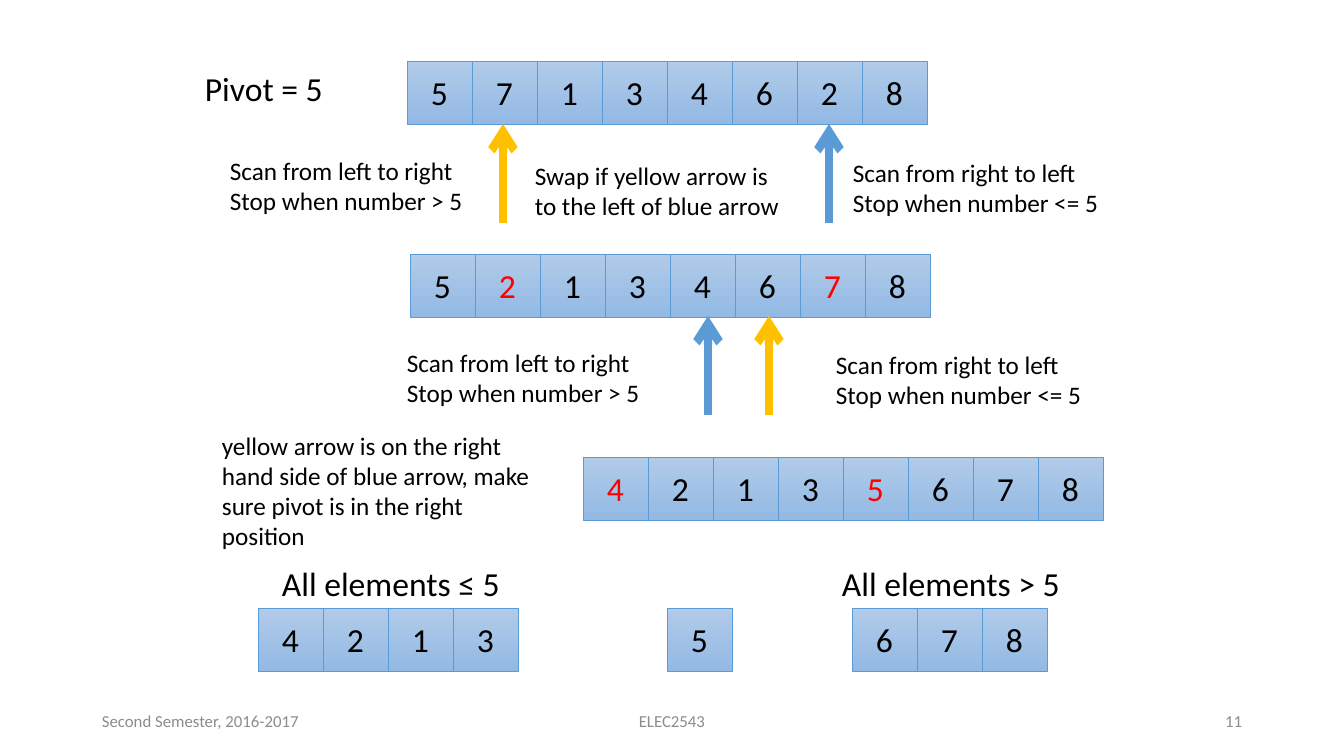
from typing import NamedTuple

from lxml.etree import SubElement
from pptx import Presentation
from pptx.dml.color import RGBColor
from pptx.enum.shapes import MSO_CONNECTOR, MSO_SHAPE
from pptx.enum.text import MSO_ANCHOR, PP_ALIGN
from pptx.oxml.ns import qn
from pptx.shapes.base import BaseShape
from pptx.slide import Slide
from pptx.util import Emu, Pt

SLIDE_WIDTH, SLIDE_HEIGHT = 1344, 756
EMU_PER_PIXEL = 12192000 / SLIDE_WIDTH
CELL_WIDTH, CELL_HEIGHT = 65, 63
ARROW_LENGTH = 99

BLACK = RGBColor(0x00, 0x00, 0x00)
RED = RGBColor(0xFF, 0x00, 0x00)
GRAY = RGBColor(0x8C, 0x8C, 0x8C)
BLUE = RGBColor(0x5B, 0x9B, 0xD5)
YELLOW = RGBColor(0xFF, 0xC0, 0x00)
CELL_TOP_COLOR = RGBColor(0xB1, 0xCB, 0xE9)
CELL_BOTTOM_COLOR = RGBColor(0x93, 0xB9, 0xE4)

SCAN_RIGHT = "Scan from left to right\nStop when number > 5"
SCAN_LEFT = "Scan from right to left\nStop when number <= 5"


class NumberRow(NamedTuple):
    """A row of array cells; positions in moved are shown in red."""
    left: int
    top: int
    numbers: str
    moved: tuple[int, ...] = ()


class ScanArrow(NamedTuple):
    """An upward arrow that points at an array cell."""
    center: int
    tip: int
    color: RGBColor


class Label(NamedTuple):
    """A text box and its format."""
    left: int
    top: int
    width: int
    height: int
    text: str
    size: int = 18
    wrap: bool = False
    color: RGBColor = BLACK
    align: PP_ALIGN = PP_ALIGN.LEFT
    anchor: MSO_ANCHOR = MSO_ANCHOR.TOP


class Footer(NamedTuple):
    """One part of the slide footer."""
    left: int
    width: int
    text: str
    align: PP_ALIGN


NUMBER_ROWS = [
    NumberRow(407, 61, "57134628"),
    NumberRow(410, 254, "52134678", (1, 6)),
    NumberRow(583, 457, "42135678", (0, 4)),
    NumberRow(258, 608, "4213"),
    NumberRow(667, 608, "5"),
    NumberRow(852, 608, "678"),
]

SCAN_ARROWS = [
    ScanArrow(829, 124, BLUE),
    ScanArrow(503, 124, YELLOW),
    ScanArrow(769, 316, YELLOW),
    ScanArrow(708, 316, BLUE),
]

LABELS = [
    Label(195, 63, 140, 50, "Pivot = 5", size=24),
    Label(220, 150, 255, 71, SCAN_RIGHT),
    Label(843, 152, 268, 71, SCAN_LEFT),
    Label(525, 155, 280, 71, "Swap if yellow arrow is to the left of blue arrow", wrap=True),
    Label(397, 342, 255, 71, SCAN_RIGHT),
    Label(826, 344, 268, 71, SCAN_LEFT),
    Label(212, 425, 330, 132, "yellow arrow is on the right hand side of blue arrow, "
          "make sure pivot is in the right position", wrap=True),
    Label(272, 558, 241, 50, "All elements ≤ 5", size=24),
    Label(832, 558, 241, 50, "All elements > 5", size=24),
]

FOOTERS = [
    Footer(92, 302, "Second Semester, 2016-2017", PP_ALIGN.LEFT),
    Footer(445, 454, "ELEC2543", PP_ALIGN.CENTER),
    Footer(950, 302, "11", PP_ALIGN.RIGHT),
]


def pixels(*lengths: int) -> list[Emu]:
    """Turn pixel lengths into EMU."""
    return [Emu(round(length * EMU_PER_PIXEL)) for length in lengths]


def write_text(shape: BaseShape, text: str, *, size: int = 24, color: RGBColor = BLACK,
               align: PP_ALIGN = PP_ALIGN.CENTER, anchor: MSO_ANCHOR = MSO_ANCHOR.MIDDLE,
               wrap: bool = True) -> None:
    """Fill a shape with formatted text, one paragraph per line."""
    frame = shape.text_frame
    frame.text = text
    frame.word_wrap = wrap
    frame.vertical_anchor = anchor
    for paragraph in frame.paragraphs:
        paragraph.alignment = align
        for run in paragraph.runs:
            run.font.name = "Calibri"
            run.font.size = Pt(size)
            run.font.color.rgb = color


def draw_row(slide: Slide, row: NumberRow) -> None:
    """Draw the cells of an array side by side."""
    for index, number in enumerate(row.numbers):
        left = row.left + index * CELL_WIDTH
        cell = slide.shapes.add_shape(
            MSO_SHAPE.RECTANGLE, *pixels(left, row.top, CELL_WIDTH, CELL_HEIGHT))
        cell.shadow.inherit = False
        cell.fill.gradient()
        cell.fill.gradient_angle = 270
        for stop, color in zip(cell.fill.gradient_stops, (CELL_TOP_COLOR, CELL_BOTTOM_COLOR)):
            stop.color.rgb = color
        cell.line.color.rgb = BLUE
        cell.line.width = Pt(0.5)
        write_text(cell, number, color=RED if index in row.moved else BLACK)


def draw_arrow(slide: Slide, arrow: ScanArrow) -> None:
    """Draw a thick arrow from below up to its tip."""
    connector = slide.shapes.add_connector(
        MSO_CONNECTOR.STRAIGHT,
        *pixels(arrow.center, arrow.tip + ARROW_LENGTH, arrow.center, arrow.tip))
    connector.line.color.rgb = arrow.color
    connector.line.width = Pt(6)
    SubElement(connector.line._get_or_add_ln(), qn("a:tailEnd"), type="arrow")
    SubElement(connector._element.spPr, qn("a:effectLst"))


def draw_label(slide: Slide, label: Label) -> None:
    """Draw a text box."""
    box = slide.shapes.add_textbox(*pixels(label.left, label.top, label.width, label.height))
    write_text(box, label.text, size=label.size, color=label.color, align=label.align,
               anchor=label.anchor, wrap=label.wrap)


def draw_footer(slide: Slide, footer: Footer) -> None:
    """Draw one part of the footer line."""
    draw_label(slide, Label(footer.left, 701, footer.width, 40, footer.text, size=12, wrap=True,
                            color=GRAY, align=footer.align, anchor=MSO_ANCHOR.MIDDLE))


def main() -> None:
    """Build the slide and save it."""
    presentation = Presentation()
    presentation.slide_width, presentation.slide_height = pixels(SLIDE_WIDTH, SLIDE_HEIGHT)
    slide = presentation.slides.add_slide(presentation.slide_layouts[6])
    for row in NUMBER_ROWS:
        draw_row(slide, row)
    for arrow in SCAN_ARROWS:
        draw_arrow(slide, arrow)
    for label in LABELS:
        draw_label(slide, label)
    for footer in FOOTERS:
        draw_footer(slide, footer)
    presentation.save("out.pptx")


main()
